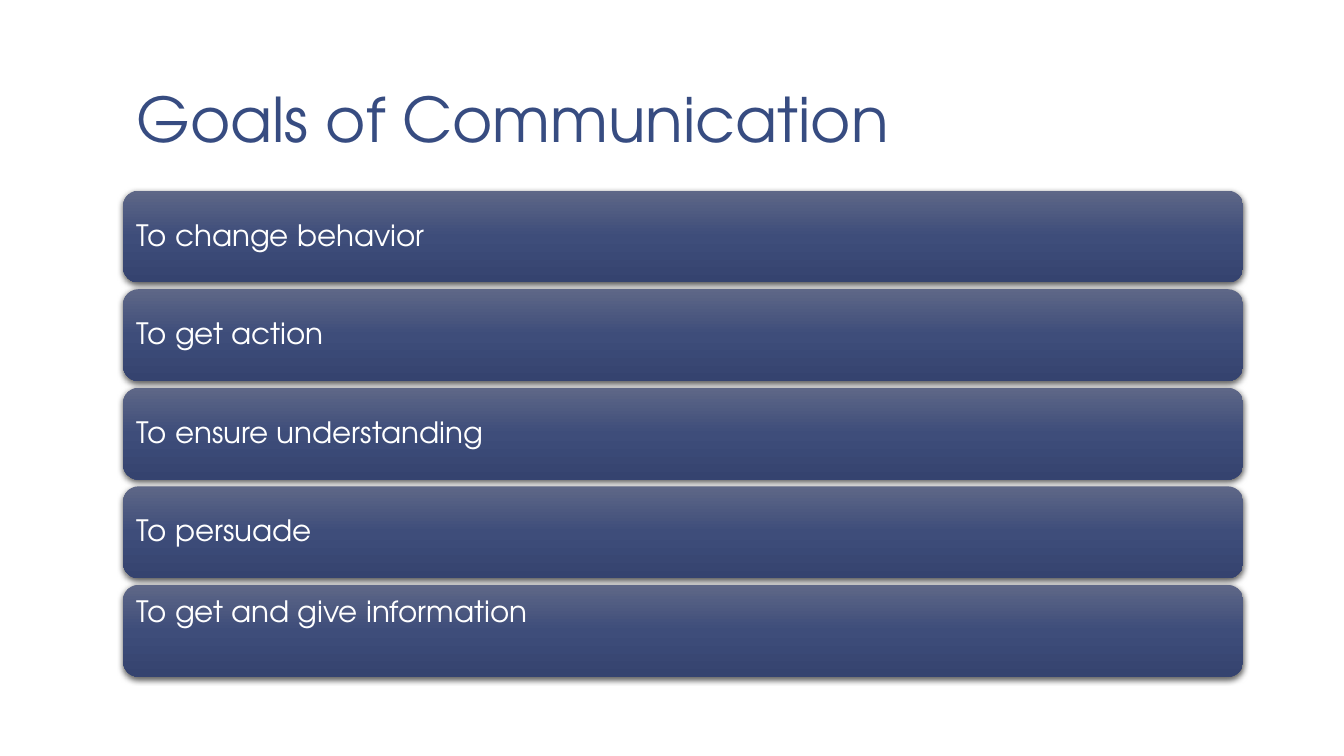
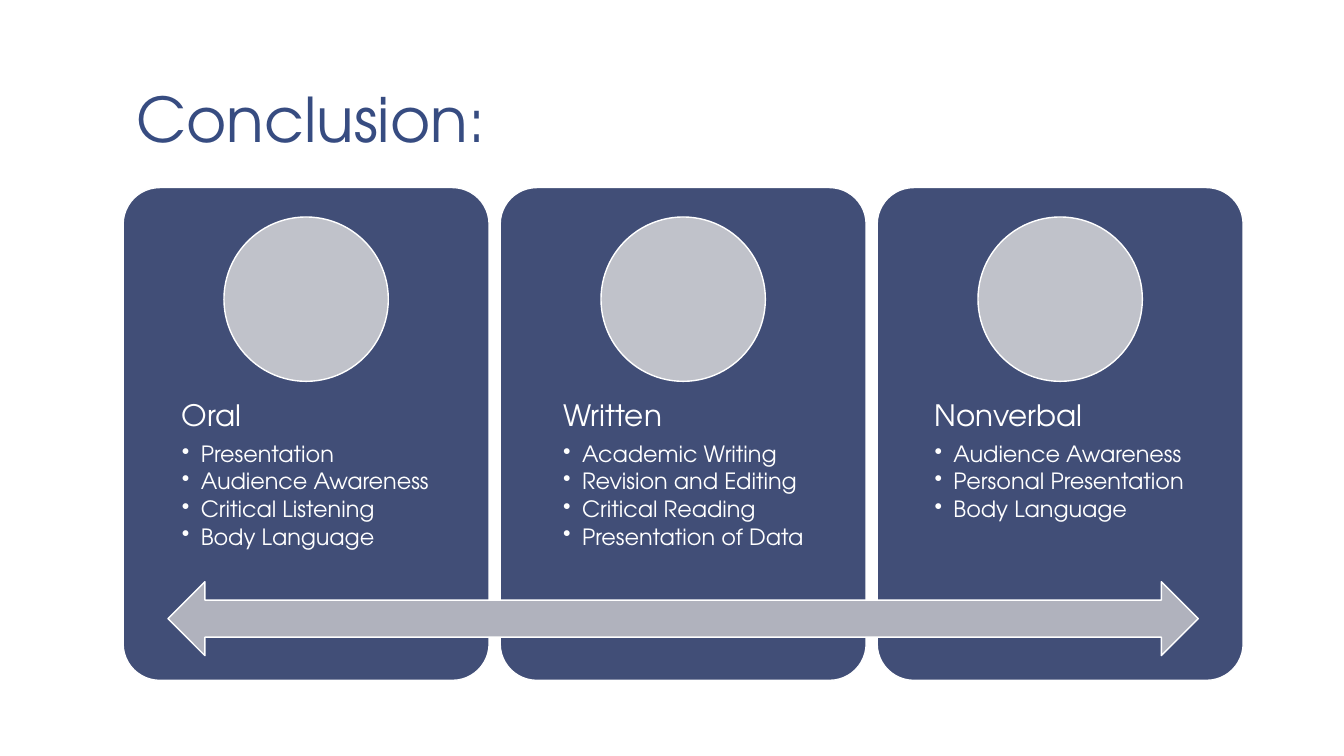
"""Build two slides on the goals and the conclusion of a communication course."""
import dataclasses

import lxml.etree
import pptx
import pptx.dml.color
import pptx.enum.shapes
import pptx.enum.text
import pptx.oxml.ns
import pptx.util

Pt = pptx.util.Pt
qn = pptx.oxml.ns.qn
SHAPES = pptx.enum.shapes.MSO_SHAPE
ANCHOR = pptx.enum.text.MSO_ANCHOR


@dataclasses.dataclass(frozen=True)
class Theme:
    """Colours, font, type sizes and content edges shared by the slides."""
    font: str = "TeX Gyre Adventor"
    title_color: str = "374C81"
    white: str = "FFFFFF"
    card: str = "414E77"
    circle: str = "C0C2CA"
    arrow: str = "B0B2BD"
    bar_stops: tuple = ((0, "5E6787"), (50, "3E4D7A"), (100, "35436F"))
    title_size: float = 44
    heading_size: float = 21
    bullet_size: float = 16
    left: float = 88
    width: float = 800


THEME = Theme()

GOALS = (
    "To change behavior",
    "To get action",
    "To ensure understanding",
    "To persuade",
    "To get and give information",
)

CARDS = (
    ("Oral", 42, ("Presentation", "Audience Awareness", "Critical Listening", "Body Language")),
    ("Written", 45, ("Academic Writing", "Revision and Editing", "Critical Reading",
                     "Presentation of Data")),
    ("Nonverbal", 41, ("Audience Awareness", "Personal Presentation", "Body Language")),
)


def rgb(color):
    """Return the colour object for a hexadecimal string."""
    return pptx.dml.color.RGBColor.from_string(color)


def set_frame(frame, anchor, margins):
    """Set wrapping, anchor and the left, top, right and bottom margins."""
    frame.word_wrap = True
    frame.vertical_anchor = anchor
    frame.margin_left, frame.margin_top, frame.margin_right, frame.margin_bottom = map(Pt, margins)


def add_text(frame, text, *, size=THEME.heading_size, color=THEME.white,
             line_spacing=0.9, space_after=0, bullet=False):
    """Write a formatted paragraph, using the first one while the frame is empty."""
    paragraph = frame.add_paragraph() if frame.text else frame.paragraphs[0]
    paragraph.text = text
    if bullet:
        properties = paragraph._p.get_or_add_pPr()
        properties.set("marL", str(Pt(13.5)))
        properties.set("indent", str(Pt(-13.5)))
        lxml.etree.SubElement(properties, qn("a:buChar"), char="•")
    paragraph.alignment = pptx.enum.text.PP_ALIGN.LEFT
    paragraph.line_spacing = line_spacing
    paragraph.space_after = Pt(space_after)
    paragraph.font.name = THEME.font
    paragraph.font.size = Pt(size)
    paragraph.font.color.rgb = rgb(color)


def add_box(slide, left, top, width, height, *, anchor=ANCHOR.TOP, margins=(0, 0, 0, 0)):
    """Add a text box and return its text frame."""
    frame = slide.shapes.add_textbox(Pt(left), Pt(top), Pt(width), Pt(height)).text_frame
    set_frame(frame, anchor, margins)
    return frame


def add_shape(slide, kind, left, top, width, height, *, fill=None):
    """Add a shape without shadow, with a white outline when it has a plain fill."""
    shape = slide.shapes.add_shape(kind, Pt(left), Pt(top), Pt(width), Pt(height))
    shape.shadow.inherit = False
    if fill:
        shape.fill.solid()
        shape.fill.fore_color.rgb = rgb(fill)
        shape.line.color.rgb = rgb(THEME.white)
        shape.line.width = Pt(1)
    else:
        shape.line.fill.background()
    return shape


def apply_gradient(shape, stops):
    """Fill a shape from top to bottom with the given colour stops."""
    shape.fill.gradient()
    shape.fill.gradient_angle = 270
    stop_list = shape._element.spPr.find(".//" + qn("a:gsLst"))
    for stop in list(stop_list):
        stop_list.remove(stop)
    for position, color in stops:
        stop = lxml.etree.SubElement(stop_list, qn("a:gs"), pos=str(position * 1000))
        lxml.etree.SubElement(stop, qn("a:srgbClr"), val=color)


def apply_shadow(shape):
    """Give a shape a soft shadow below it."""
    effects = shape._element.spPr.find(qn("a:effectLst"))
    shadow = lxml.etree.SubElement(effects, qn("a:outerShdw"), blurRad=str(Pt(4.5)),
                                   dist=str(Pt(1.5)), dir="5400000", rotWithShape="0")
    color = lxml.etree.SubElement(shadow, qn("a:srgbClr"), val="000000")
    lxml.etree.SubElement(color, qn("a:alpha"), val="63000")


def add_titled_slide(presentation, title):
    """Add a blank slide with the shared title."""
    slide = presentation.slides.add_slide(presentation.slide_layouts[6])
    frame = add_box(slide, THEME.left, 6, THEME.width, 110,
                    anchor=ANCHOR.BOTTOM, margins=(9.5, 5, 9.5, 5))
    add_text(frame, title, size=THEME.title_size, color=THEME.title_color, line_spacing=0.85)
    return slide


def add_bar(slide, top, height, text, bottom_margin):
    """Add a shaded bar with its text."""
    bar = add_shape(slide, SHAPES.ROUNDED_RECTANGLE, THEME.left, top, THEME.width, height)
    apply_gradient(bar, THEME.bar_stops)
    apply_shadow(bar)
    set_frame(bar.text_frame, ANCHOR.MIDDLE, (6.5, 0, 6.5, bottom_margin))
    add_text(bar.text_frame, text)


def add_card(slide, left, width, heading, indent, topics):
    """Add a card with a circle, a heading and bulleted topics."""
    diameter = 117.4
    card = add_shape(slide, SHAPES.ROUNDED_RECTANGLE, left, 134, width, 352, fill=THEME.card)
    card.adjustments[0] = 0.1
    frame = add_box(slide, left, 275, width, 141, margins=(indent, 11.5, 0, 11.5))
    add_text(frame, heading, space_after=7.35)
    for topic in topics:
        add_text(frame, topic, size=THEME.bullet_size, space_after=2.4, bullet=True)
    add_shape(slide, SHAPES.OVAL, left + (width - diameter) / 2, 155, diameter, diameter,
              fill=THEME.circle)


def build_goals(presentation):
    """Build the slide with one bar for each goal."""
    slide = add_titled_slide(presentation, "Goals of Communication")
    for index, goal in enumerate(GOALS):
        raised = index == len(GOALS) - 1
        add_bar(slide, 136.2 + index * 70.4, 65.6, goal, 26 if raised else 0)


def build_conclusion(presentation):
    """Build the slide with three cards joined by a double arrow."""
    slide = add_titled_slide(presentation, "Conclusion:")
    gap = 7.9
    width = (THEME.width - gap * (len(CARDS) - 1)) / len(CARDS)
    for index, (heading, indent, topics) in enumerate(CARDS):
        add_card(slide, THEME.left + index * (width + gap), width, heading, indent, topics)
    add_shape(slide, SHAPES.LEFT_RIGHT_ARROW, 120, 415.5, 736, 52.8, fill=THEME.arrow)


def main():
    """Build and save the presentation."""
    presentation = pptx.Presentation()
    presentation.slide_width = Pt(960)
    presentation.slide_height = Pt(540)
    build_goals(presentation)
    build_conclusion(presentation)
    presentation.save("out.pptx")


if __name__ == "__main__":
    main()
